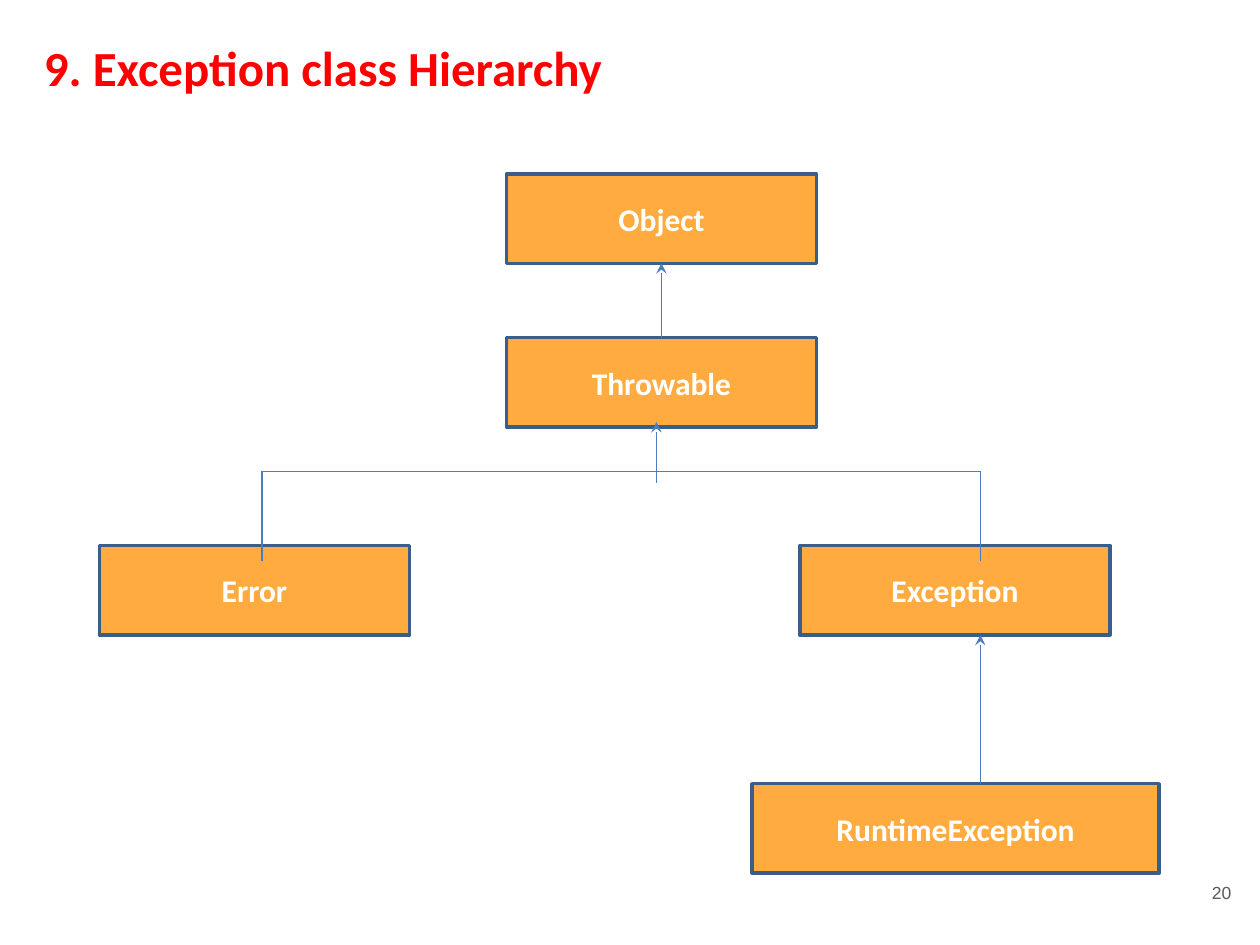
import pptx
import pptx.dml.color
import pptx.enum.shapes
import pptx.enum.text
import pptx.oxml
import pptx.oxml.ns
import pptx.util
from pptx.util import Inches
from lxml import etree

RGBColor = pptx.dml.color.RGBColor
ORANGE = RGBColor(0xFF, 0xAB, 0x40)
NAVY = RGBColor(0x39, 0x5E, 0x89)
BLUE = RGBColor(0x4A, 0x7D, 0xBA)
WHITE = RGBColor(0xFF, 0xFF, 0xFF)
RED = RGBColor(0xFF, 0x00, 0x00)
GREY = RGBColor(0x59, 0x59, 0x59)

ALIGN = pptx.enum.text.PP_ALIGN
ANCHOR = pptx.enum.text.MSO_ANCHOR

BOX_WIDTH, BOX_HEIGHT = 2.46, 0.71
CLASSES = {  # left, top, width
    "Object": (4.02, 1.38, BOX_WIDTH),
    "Throwable": (4.02, 2.68, BOX_WIDTH),
    "Error": (0.79, 4.33, BOX_WIDTH),
    "Exception": (6.35, 4.33, BOX_WIDTH),
    "RuntimeException": (5.97, 6.22, 3.23),
}
BRANCH_Y, BRANCH_END = 3.74, 4.45
ERROR_X, STEM_X, EXCEPTION_X = 2.08, 5.21, 7.78

CLASS_FONT = {"name": "Calibri", "size": pptx.util.Pt(18), "bold": True}
TITLE_FONT = {"name": "Calibri", "size": pptx.util.Pt(28), "bold": True}
NUMBER_FONT = {"name": "Arial", "size": pptx.util.Pt(10)}


def write_text(holder, text, font, color, align, anchor):
    frame = holder.text_frame
    frame.word_wrap = True
    frame.vertical_anchor = anchor
    paragraph = frame.paragraphs[0]
    paragraph.alignment = align
    run = paragraph.add_run()
    run.text = text
    for attribute, value in font.items():
        setattr(run.font, attribute, value)
    run.font.color.rgb = color


def add_class_box(slide, name, left, top, width):
    box = slide.shapes.add_shape(
        pptx.enum.shapes.MSO_SHAPE.RECTANGLE,
        Inches(left), Inches(top), Inches(width), Inches(BOX_HEIGHT))
    box.shadow.inherit = False
    box.fill.solid()
    box.fill.fore_color.rgb = ORANGE
    box.line.color.rgb = NAVY
    box.line.width = pptx.util.Pt(2)
    write_text(box, name, CLASS_FONT, WHITE, ALIGN.CENTER, ANCHOR.MIDDLE)
    return box


def add_line(slide, start, end, arrow=False):
    """Draw a straight line, with an arrowhead at its end if asked."""
    line = slide.shapes.add_connector(
        pptx.enum.shapes.MSO_CONNECTOR.STRAIGHT,
        *(Inches(value) for value in (*start, *end)))
    line.line.color.rgb = BLUE
    line.line.width = pptx.util.Pt(0.75)
    qn = pptx.oxml.ns.qn
    properties = line._element.spPr
    etree.SubElement(properties, qn("a:effectLst"))
    if arrow:
        outline = properties.find(qn("a:ln"))
        etree.SubElement(outline, qn("a:tailEnd"), type="stealth")
    return line


def add_label(slide, text, bounds, font, color, align, anchor):
    label = slide.shapes.add_textbox(*(Inches(value) for value in bounds))
    write_text(label, text, font, color, align, anchor)


def main():
    deck = pptx.Presentation()
    deck.slide_width, deck.slide_height = Inches(10), Inches(7.5)
    slide = deck.slides.add_slide(deck.slide_layouts[6])

    boxes = {name: add_class_box(slide, name, *place)
             for name, place in CLASSES.items()}

    to_object = add_line(slide, (5.25, 2.68), (5.25, 2.09), arrow=True)
    to_object.begin_connect(boxes["Throwable"], 0)
    to_object.end_connect(boxes["Object"], 2)

    add_line(slide, (ERROR_X, BRANCH_Y), (EXCEPTION_X, BRANCH_Y))
    for x in (EXCEPTION_X, ERROR_X):
        add_line(slide, (x, BRANCH_Y), (x, BRANCH_END))
    add_line(slide, (EXCEPTION_X, 6.22), (EXCEPTION_X, 5.04), arrow=True)
    add_line(slide, (STEM_X, 3.83), (STEM_X, 3.35), arrow=True)

    add_label(slide, "20", (9.27, 6.8, 0.6, 0.57),
              NUMBER_FONT, GREY, ALIGN.RIGHT, ANCHOR.MIDDLE)
    add_label(slide, "9. Exception class Hierarchy", (0.25, 0.25, 6.33, 0.64),
              TITLE_FONT, RED, ALIGN.LEFT, ANCHOR.TOP)

    deck.save("out.pptx")


if __name__ == "__main__":
    main()
